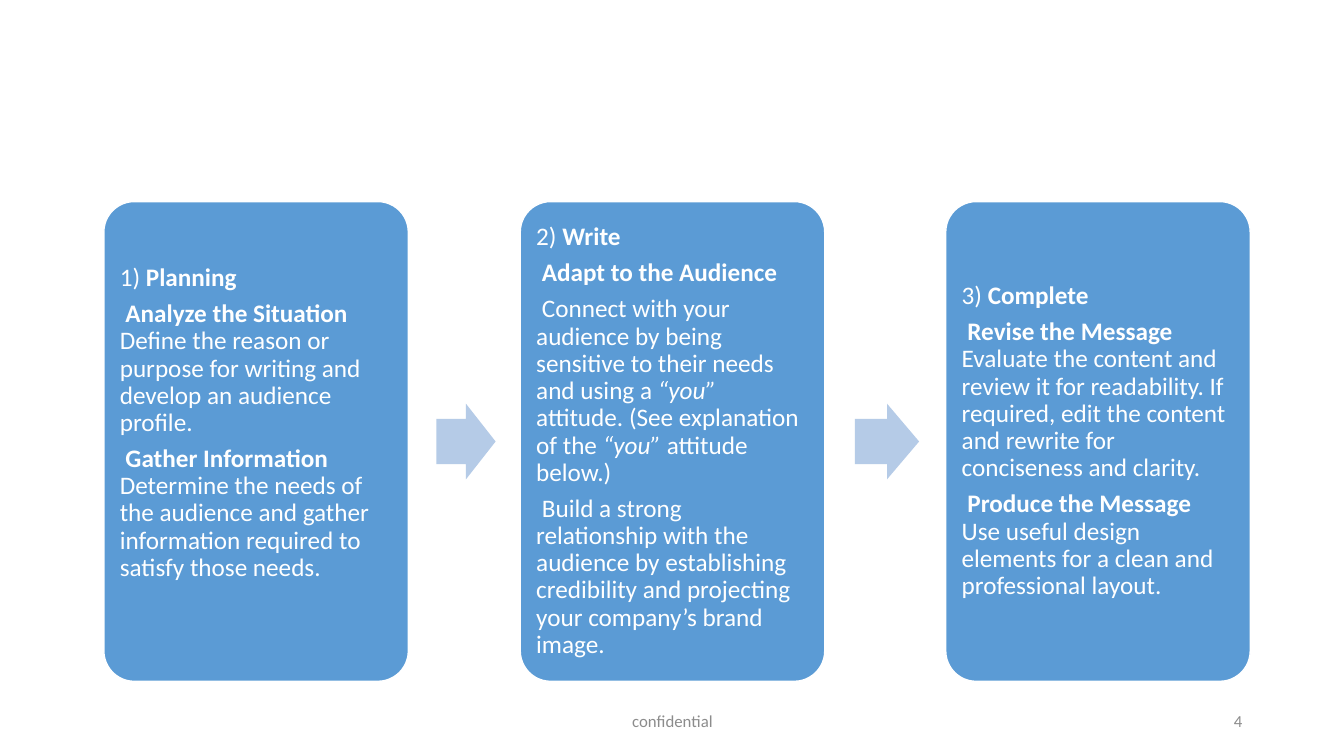
import pptx
import pptx.util
import pptx.dml.color
import pptx.enum.shapes
import pptx.enum.text

PLAIN, BOLD, ITALIC = {"bold": False}, {"bold": True}, {"italic": True}
BREAK = None

STAGES = [
    {"left": 1.03, "bottom_inset": 0.43, "paragraphs": [
        [("1)", PLAIN), (" Planning", BOLD)],
        [(" Analyze the Situation", BOLD), BREAK,
         ("Define the reason or purpose for writing and develop an audience profile.", PLAIN)],
        [(" Gather Information", BOLD), BREAK,
         ("Determine the needs of the audience and gather information required to satisfy those needs.", PLAIN)],
    ]},
    {"left": 5.16, "bottom_inset": 0.07, "paragraphs": [
        [("2)", PLAIN), (" Write", BOLD)],
        [(" Adapt to the Audience", BOLD)],
        [(" Connect with your audience by being sensitive to their needs and using a ", PLAIN),
         ("“you”", ITALIC), (" attitude. (See explanation of the ", PLAIN),
         ("“you”", ITALIC), (" attitude below.)", PLAIN)],
        [(" Build a strong relationship with the audience by establishing credibility "
          "and projecting your company’s brand image.", PLAIN)],
    ]},
    {"left": 9.38, "bottom_inset": 0.07, "paragraphs": [
        [("3)", PLAIN), (" Complete", BOLD)],
        [(" Revise the Message", BOLD), BREAK,
         ("Evaluate the content and review it for readability. If required, edit the content "
          "and rewrite for conciseness and clarity.", PLAIN)],
        [(" Produce the Message", BOLD), BREAK,
         ("Use useful design elements for a clean and professional layout.", PLAIN)],
    ]},
]
FOOTERS = [
    ("confidential", 4.42, 4.5, pptx.enum.text.PP_ALIGN.CENTER),
    ("4", 9.42, 3, pptx.enum.text.PP_ALIGN.RIGHT),
]

CARD_TOP, CARD_WIDTH, CARD_HEIGHT, INSET = 2, 3.02, 4.76, 0.07
ARROW_HEIGHT, ARROW_START, ARROW_SHARE = 0.75, 0.25, 0.53
FOOTER_TOP, FOOTER_HEIGHT = 6.95, 0.4
WHITE, BLUE, PALE, GREY = "FFFFFF", "5B9BD5", "B5CBE7", "8C8C8C"


def color(text):
    return pptx.dml.color.RGBColor.from_string(text)


def apply(target, values):
    for name, value in values.items():
        setattr(target, name, value)


def inches(*lengths):
    return [pptx.util.Inches(length) for length in lengths]


def add_span(para, text, size, shade, style):
    span = para.add_run()
    span.text = text
    apply(span.font, {"name": "Calibri", "size": pptx.util.Pt(size), **style})
    span.font.color.rgb = color(shade)


def add_block(page, kind, place, fill, adjustments):
    block = page.shapes.add_shape(kind, *inches(*place))
    block.shadow.inherit = False
    block.fill.solid()
    block.fill.fore_color.rgb = color(fill)
    block.line.fill.background()
    for index, value in enumerate(adjustments):
        block.adjustments[index] = value
    return block


def add_card(page, stage):
    card = add_block(page, pptx.enum.shapes.MSO_SHAPE.ROUNDED_RECTANGLE,
                     (stage["left"], CARD_TOP, CARD_WIDTH, CARD_HEIGHT), BLUE, [0.1])
    card.line.color.rgb = color(WHITE)
    card.line.width = pptx.util.Pt(1)
    side, bottom = inches(INSET, stage["bottom_inset"])
    frame = card.text_frame
    apply(frame, {"word_wrap": True, "margin_left": side, "margin_right": side,
                  "margin_top": side, "margin_bottom": bottom,
                  "vertical_anchor": pptx.enum.text.MSO_ANCHOR.MIDDLE})
    for index, parts in enumerate(stage["paragraphs"]):
        para = frame.add_paragraph() if index else frame.paragraphs[0]
        apply(para, {"alignment": pptx.enum.text.PP_ALIGN.LEFT, "line_spacing": 0.9,
                     "space_after": pptx.util.Pt(6.3)})
        for part in parts:
            if part is BREAK:
                para.add_line_break()
            else:
                add_span(para, part[0], 18, WHITE, part[1])


def add_arrow(page, start, end):
    gap = end - start
    place = (start + ARROW_START * gap, CARD_TOP + (CARD_HEIGHT - ARROW_HEIGHT) / 2,
             ARROW_SHARE * gap, ARROW_HEIGHT)
    add_block(page, pptx.enum.shapes.MSO_SHAPE.RIGHT_ARROW, place, PALE, [0.6, 0.5])


def add_footer(page, text, left, width, alignment):
    box = page.shapes.add_textbox(*inches(left, FOOTER_TOP, width, FOOTER_HEIGHT))
    apply(box.text_frame, {"word_wrap": True,
                           "vertical_anchor": pptx.enum.text.MSO_ANCHOR.MIDDLE})
    para = box.text_frame.paragraphs[0]
    para.alignment = alignment
    add_span(para, text, 12, GREY, PLAIN)


def main():
    deck = pptx.Presentation()
    deck.slide_width, deck.slide_height = inches(13.33, 7.5)
    page = deck.slides.add_slide(deck.slide_layouts[6])
    for stage in STAGES:
        add_card(page, stage)
    for stage, following in zip(STAGES, STAGES[1:]):
        add_arrow(page, stage["left"] + CARD_WIDTH, following["left"])
    for footer in FOOTERS:
        add_footer(page, *footer)
    deck.save("out.pptx")


if __name__ == "__main__":
    main()
